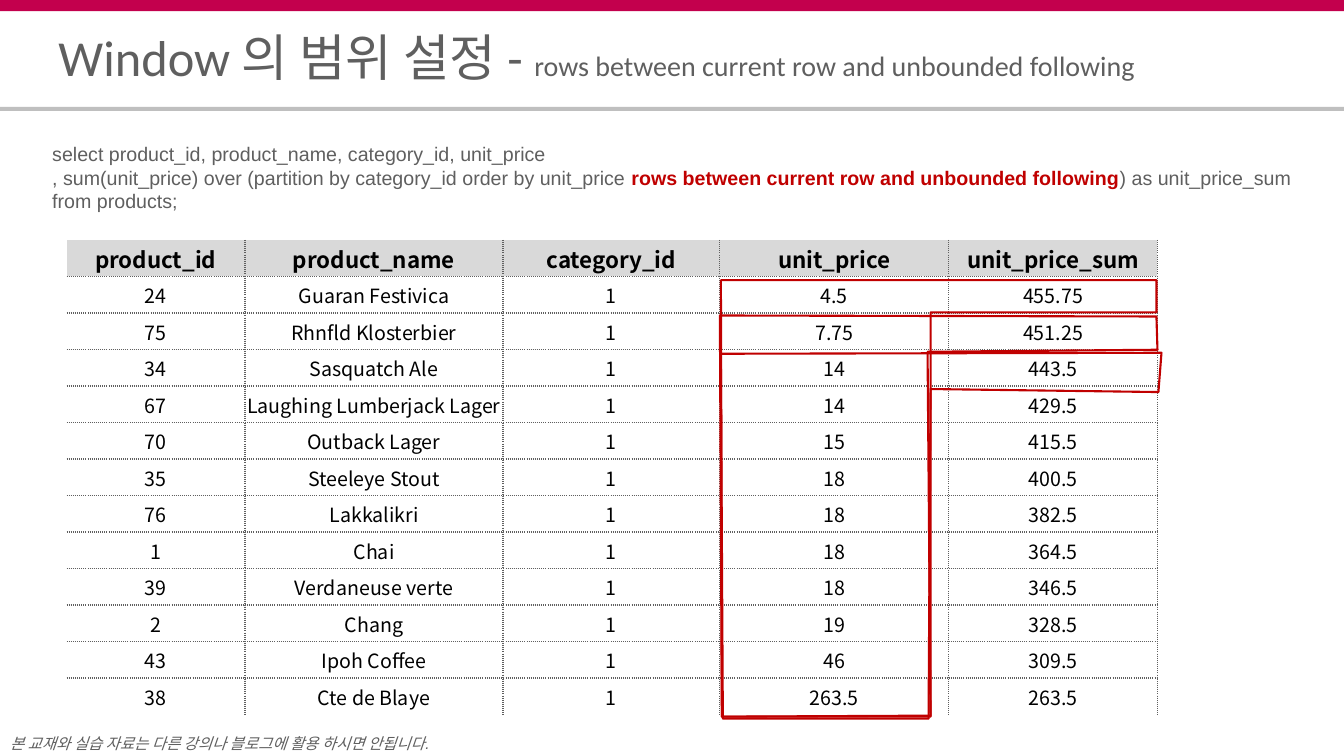
import pptx
import pptx.dml.color
import pptx.enum.shapes
import pptx.enum.text
import pptx.oxml
import pptx.oxml.ns
import pptx.util
from dataclasses import dataclass

Inches = pptx.util.Inches
MIDDLE = pptx.enum.text.MSO_ANCHOR.MIDDLE
NO_FIT = pptx.enum.text.MSO_AUTO_SIZE.NONE
LEFT = pptx.enum.text.PP_ALIGN.LEFT
CENTER = pptx.enum.text.PP_ALIGN.CENTER

COLORS = {"crimson": "C3004D", "rule": "BFBFBF", "gray": "5F5F5F",
          "red": "C00000", "header": "D9D9D9", "black": "000000"}
FRAME_CLAUSE = "rows between current row and unbounded following"
COLUMN_WIDTHS = (1.77, 2.56, 2.15, 2.27, 2.07)
ROW_HEIGHT = 4.71 / 13
HEADERS = ("product_id", "product_name", "category_id", "unit_price", "unit_price_sum")
PRODUCTS = (
    ("24", "Guaran Festivica", "1", "4.5", "455.75"),
    ("75", "Rhnfld Klosterbier", "1", "7.75", "451.25"),
    ("34", "Sasquatch Ale", "1", "14", "443.5"),
    ("67", "Laughing Lumberjack Lager", "1", "14", "429.5"),
    ("70", "Outback Lager", "1", "15", "415.5"),
    ("35", "Steeleye Stout", "1", "18", "400.5"),
    ("76", "Lakkalikri", "1", "18", "382.5"),
    ("1", "Chai", "1", "18", "364.5"),
    ("39", "Verdaneuse verte", "1", "18", "346.5"),
    ("2", "Chang", "1", "19", "328.5"),
    ("43", "Ipoh Coffee", "1", "46", "309.5"),
    ("38", "Cte de Blaye", "1", "263.5", "263.5"),
)


@dataclass
class Band:
    top: float
    height: float
    color: str


@dataclass
class WindowOutline:
    points: tuple[tuple[float, float], ...]


BANDS = (Band(0, 0.11, "crimson"), Band(1.06, 0.04, "rule"))
WINDOWS = (
    WindowOutline(((11.47, 2.78), (7.15, 2.78), (7.16, 7.11),
                   (9.23, 7.11), (9.23, 3.1), (11.47, 3.1))),
    WindowOutline(((11.47, 3.14), (7.14, 3.13), (7.16, 7.11),
                   (9.23, 7.1), (9.2, 3.49), (11.48, 3.47))),
    WindowOutline(((11.52, 3.5), (7.15, 3.51), (7.17, 7.13),
                   (9.21, 7.13), (9.23, 3.86), (11.49, 3.89))),
)


def rgb(name: str) -> pptx.dml.color.RGBColor:
    return pptx.dml.color.RGBColor.from_string(COLORS[name])


def write(paragraph, text: str, *, size: float, font: str = "Arial", color: str = "gray",
          bold: bool = False, italic: bool = False) -> None:
    run = paragraph.add_run()
    run.text = text
    run.font.size = pptx.util.Pt(size)
    run.font.name = font
    run.font.color.rgb = rgb(color)
    run.font.bold = bold
    run.font.italic = italic


def set_margins(frame, left: float, top: float, right: float, bottom: float) -> None:
    frame.margin_left, frame.margin_top = Inches(left), Inches(top)
    frame.margin_right, frame.margin_bottom = Inches(right), Inches(bottom)


def draw_band(slide, band: Band) -> None:
    bar = slide.shapes.add_shape(pptx.enum.shapes.MSO_SHAPE.RECTANGLE, 0, Inches(band.top),
                                 Inches(13.33), Inches(band.height))
    bar.shadow.inherit = False
    bar.fill.solid()
    bar.fill.fore_color.rgb = rgb(band.color)
    bar.line.fill.background()


def draw_title(slide) -> None:
    title = slide.shapes.title
    title.left, title.top = Inches(0.58), Inches(0.33)
    title.width, title.height = Inches(12.17), Inches(0.58)
    frame = title.text_frame
    set_margins(frame, 0, 0, 0, 0)
    frame.auto_size = NO_FIT
    frame.vertical_anchor = MIDDLE
    heading = frame.paragraphs[0]
    heading.alignment = LEFT
    heading.line_spacing = 0.8
    write(heading, "Window 의 범위 설정 - ", size=36, font="Calibri")
    write(heading, FRAME_CLAUSE, size=20, font="Calibri")


def draw_notice(slide) -> None:
    frame = slide.shapes.add_textbox(Inches(0.1), Inches(7.19),
                                     Inches(4.81), Inches(0.31)).text_frame
    frame.word_wrap = True
    set_margins(frame, 0, 0, 0, 0)
    notice = frame.paragraphs[0]
    notice.line_spacing = 1.5
    write(notice, "본 교재와 실습 자료는 다른 강의나 블로그에 활용 하시면 안됩니다.",
          size=11, italic=True)


def draw_query(slide) -> None:
    frame = slide.shapes.add_textbox(Inches(0.42), Inches(1.36),
                                     Inches(13.13), Inches(0.81)).text_frame
    frame.word_wrap = True
    write(frame.paragraphs[0], "select product_id, product_name, category_id, unit_price", size=14)
    window_line = frame.add_paragraph()
    write(window_line, ", sum(unit_price) over (partition by category_id order by unit_price ",
          size=14)
    write(window_line, FRAME_CLAUSE, size=14, color="red", bold=True)
    write(window_line, ") as unit_price_sum", size=14)
    write(frame.add_paragraph(), "from products;", size=14)


def set_borders(cell, shown: dict[str, bool]) -> None:
    properties = cell._tc.get_or_add_tcPr()
    namespace = pptx.oxml.ns.nsdecls("a")
    dotted = (f'<a:solidFill><a:srgbClr val="{COLORS["gray"]}"/></a:solidFill>'
              '<a:prstDash val="sysDot"/>')
    for place, (side, visible) in enumerate(shown.items()):
        stroke = dotted if visible else "<a:noFill/>"
        properties.insert(place, pptx.oxml.parse_xml(
            f'<a:{side} {namespace} w="12700">{stroke}</a:{side}>'))


def draw_products(slide) -> None:
    rows = (HEADERS, *PRODUCTS)
    products = slide.shapes.add_table(len(rows), len(HEADERS), Inches(0.66), Inches(2.38),
                                      Inches(sum(COLUMN_WIDTHS)),
                                      Inches(ROW_HEIGHT * len(rows))).table
    products.first_row = products.horz_banding = False
    for column, width in zip(products.columns, COLUMN_WIDTHS):
        column.width = Inches(width)
    for r, values in enumerate(rows):
        products.rows[r].height = Inches(ROW_HEIGHT)
        is_header = r == 0
        for c, value in enumerate(values):
            cell = products.cell(r, c)
            set_margins(cell, 0.01, 0.01, 0.01, 0)
            cell.vertical_anchor = MIDDLE
            if is_header:
                cell.fill.solid()
                cell.fill.fore_color.rgb = rgb("header")
            else:
                cell.fill.background()
            set_borders(cell, {"lnL": c > 0, "lnR": True,
                               "lnT": r > 0, "lnB": r < len(rows) - 1})
            entry = cell.text_frame.paragraphs[0]
            entry.alignment = CENTER
            write(entry, value, size=16 if is_header else 14, font="Noto Sans CJK KR",
                  color="black", bold=is_header)


def draw_window(slide, window: WindowOutline) -> None:
    start, *corners = [(Inches(x), Inches(y)) for x, y in window.points]
    builder = slide.shapes.build_freeform(*start)
    builder.add_line_segments(corners, close=True)
    outline = builder.convert_to_shape()
    outline.shadow.inherit = False
    outline.fill.background()
    outline.line.color.rgb = rgb("red")
    outline.line.width = pptx.util.Pt(1.5)


def main() -> None:
    deck = pptx.Presentation()
    deck.slide_width, deck.slide_height = Inches(13.33), Inches(7.5)
    slide = deck.slides.add_slide(deck.slide_layouts[5])
    # Page frame
    for band in BANDS:
        draw_band(slide, band)
    draw_notice(slide)
    # Heading, query and its result
    draw_title(slide)
    draw_products(slide)
    draw_query(slide)
    # Rows covered by each window
    for window in WINDOWS:
        draw_window(slide, window)
    deck.save("out.pptx")


if __name__ == "__main__":
    main()
